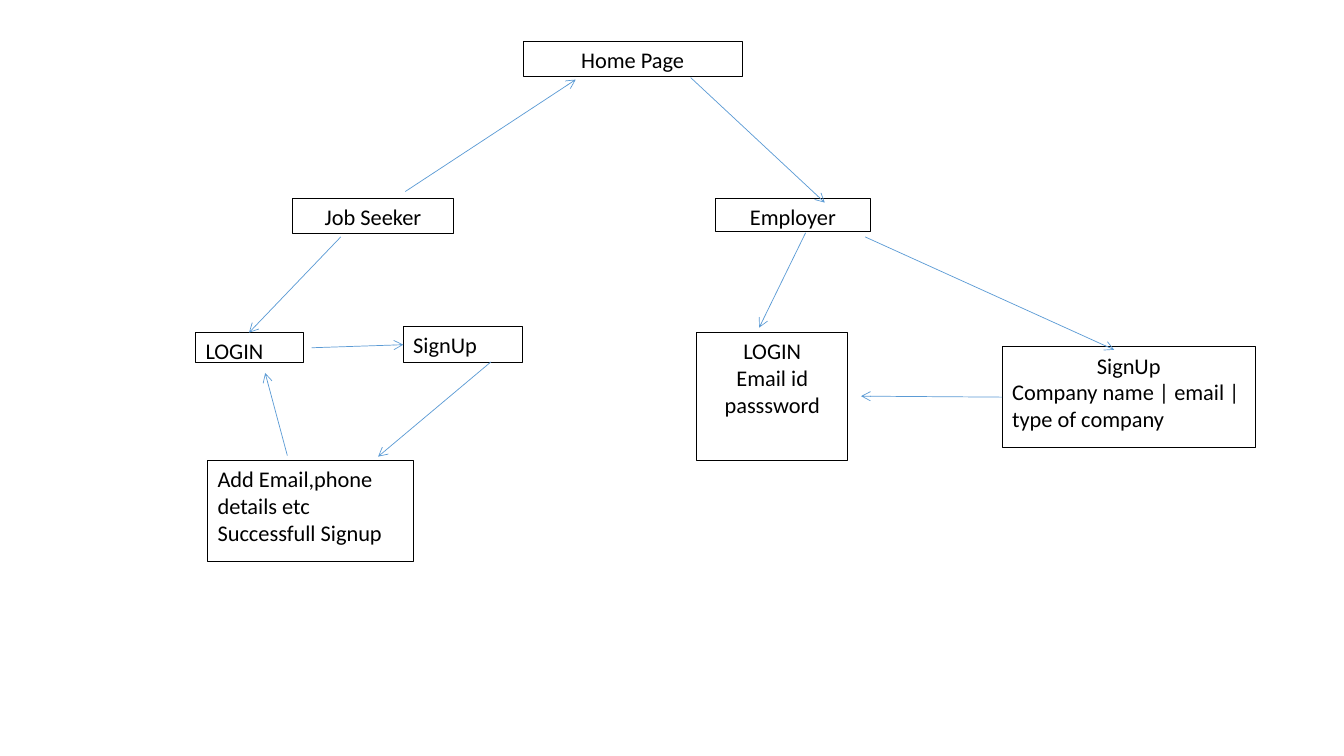
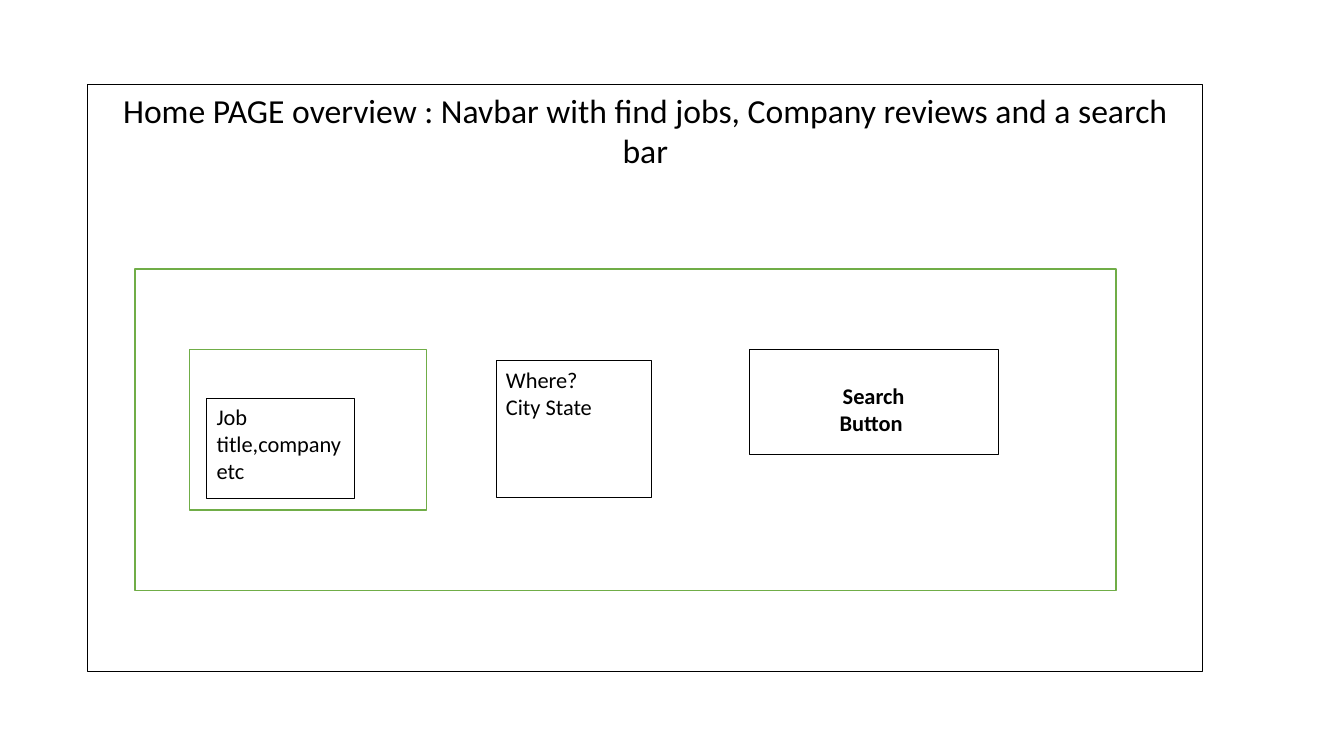
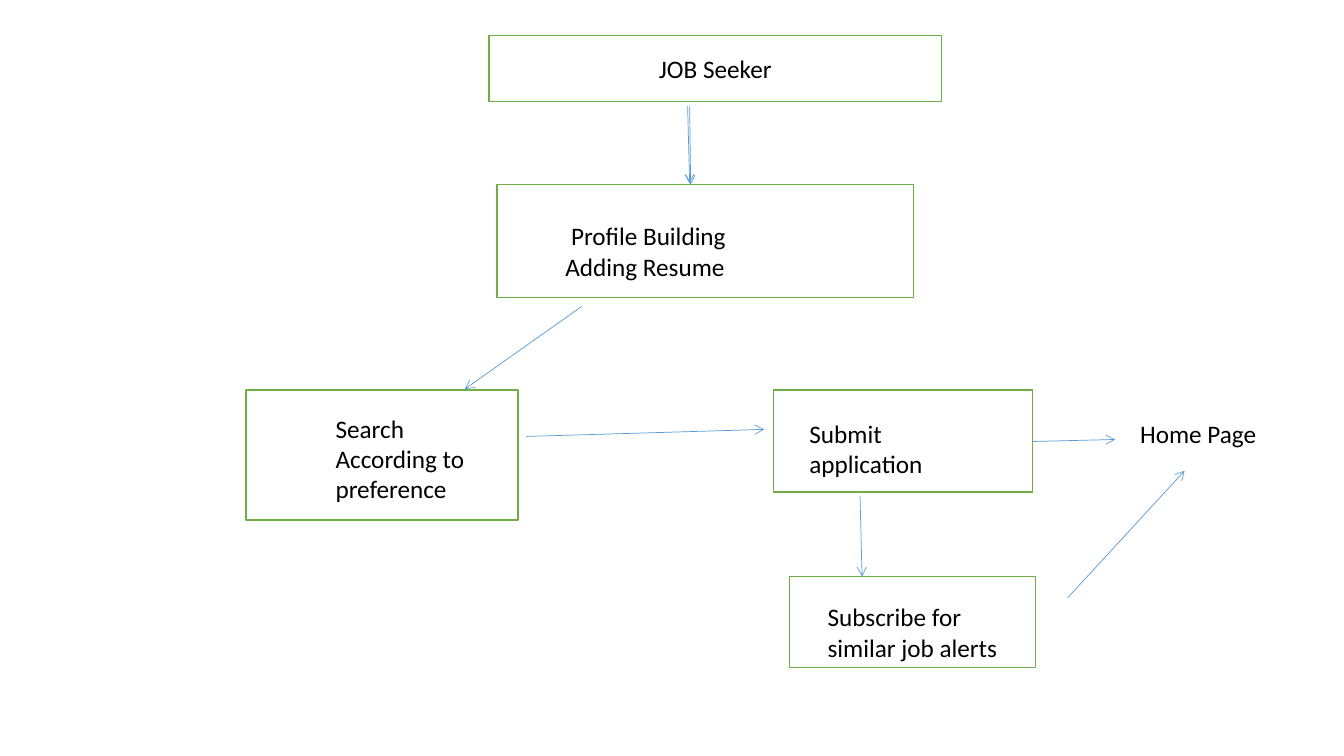
from itertools import cycle

from lxml import etree
from pptx import Presentation, util as u
from pptx.dml.color import RGBColor
from pptx.enum import shapes, text
from pptx.oxml.ns import qn

# Places are grid columns and rows: left, top, width, height.
SLIDE_WIDTH, SLIDE_HEIGHT = 13.33, 7.5
COLUMNS, ROWS = 1333, 750
FONT = "Calibri"
BLACK, WHITE, GREEN, BLUE = "000000", "FFFFFF", "70AD47", "5B9BD5"
ALIGNMENTS = {"l": text.PP_ALIGN.LEFT, "c": text.PP_ALIGN.CENTER}
THIN, MEDIUM = 0.5, 1

# Each box: lines, place, then any style that differs from the defaults.
# The letters of "align" go to the lines in turn. The first box is the title.
SITE_MAP = {
    "boxes": [
        (["Home Page"], (519, 41, 217, 35), {"align": "c"}),
        (["Job Seeker"], (290, 197, 160, 35), {"align": "c"}),
        (["Employer"], (710, 197, 153, 33), {"align": "c"}),
        (["LOGIN"], (194, 330, 107, 30), {}),
        (["SignUp"], (400, 324, 118, 36), {}),
        (["Add Email,phone details etc", "Successfull Signup"],
         (206, 457, 204, 100), {}),
        (["LOGIN", "Email id passsword"], (691, 330, 150, 127), {"align": "c"}),
        (["SignUp", "Company name | email | type of company"],
         (994, 344, 251, 100), {"align": "cl"}),
    ],
    "arrows": [
        ((402, 190), (571, 79)), ((685, 77), (818, 201)),
        ((338, 235), (247, 330)), ((309, 345), (400, 342)),
        ((487, 359), (375, 453)), ((285, 452), (263, 370)),
        ((799, 231), (753, 325)), ((858, 235), (1105, 347)),
        ((994, 394), (854, 393)),
    ],
}
HOME_PAGE = {
    "boxes": [
        (["Home PAGE overview : Navbar with find jobs, Company reviews "
          "and a search bar"], (87, 84, 1106, 582), {"align": "c", "size": 24}),
        ([], (134, 267, 973, 319), {"line": GREEN}),
        ([], (188, 347, 235, 159), {"line": GREEN}),
        (["Job title,company etc"], (205, 395, 147, 99), {}),
        (["Where?", "City State"], (492, 358, 154, 136), {}),
        (["Search", "Button "], (743, 347, 247, 104),
         {"align": "c", "bold": True, "top_inset": 0.32}),
    ],
}
JOB_SEEKER = {
    "boxes": [
        (["JOB Seeker"], (485, 35, 449, 66),
         {"align": "c", "size": 18, "line": GREEN, "middle": True}),
        ([], (493, 183, 413, 112), {"line": GREEN}),
        ([], (244, 387, 270, 129), {"line": GREEN}),
        ([], (767, 387, 257, 101), {"line": GREEN}),
        ([], (783, 572, 244, 90), {"line": GREEN}),
    ],
    "labels": [
        ([" Profile Building", "Adding Resume"], (551, 214, 303, 71)),
        (["Search According to preference"], (323, 405, 177, 101)),
        (["Submit application"], (793, 410, 206, 71)),
        (["Home Page"], (1121, 410, 174, 40)),
        (["Subscribe for similar job alerts"], (811, 592, 194, 71)),
    ],
    "arrows": [
        ((682, 105), (684, 182)), ((684, 105), (685, 183)),
        ((577, 304), (461, 386)), ((522, 433), (758, 426)),
        ((1024, 438), (1106, 436)), ((853, 492), (855, 572)),
        ((1059, 593), (1175, 467)),
    ],
}


def color(value):
    """Turn a hex string into a colour."""
    return RGBColor.from_string(value)


def grid(*values):
    """Turn alternating columns and rows into lengths."""
    units = cycle((SLIDE_WIDTH / COLUMNS, SLIDE_HEIGHT / ROWS))
    return [u.Inches(value * unit) for value, unit in zip(values, units)]


def write(shape, lines, size, align="l", bold=False):
    """Write one paragraph for each line."""
    frame = shape.text_frame
    frame.word_wrap = True
    for index, (line, letter) in enumerate(zip(lines, cycle(align))):
        paragraph = frame.add_paragraph() if index else frame.paragraphs[0]
        paragraph.alignment = ALIGNMENTS[letter]
        run = paragraph.add_run()
        run.text = line
        run.font.name, run.font.size = FONT, u.Pt(size)
        run.font.bold = bold
        run.font.color.rgb = color(BLACK)


def add_box(slide, lines, place, is_title, line=BLACK, size=16, align="l",
            bold=False, middle=False, top_inset=0.05):
    """Draw an outlined box, using the title placeholder for the title."""
    if is_title:
        shape = slide.shapes.title
        shape.left, shape.top, shape.width, shape.height = grid(*place)
    else:
        shape = slide.shapes.add_shape(shapes.MSO_SHAPE.RECTANGLE, *grid(*place))
        shape.shadow.inherit = False
    shape.fill.solid()
    shape.fill.fore_color.rgb = color(WHITE)
    shape.line.color.rgb = color(line)
    shape.line.width = u.Pt(MEDIUM if line == GREEN else THIN)
    frame = shape.text_frame
    frame.auto_size = text.MSO_AUTO_SIZE.NONE
    frame.margin_top = u.Inches(top_inset)
    frame.vertical_anchor = (text.MSO_ANCHOR.MIDDLE if middle
                             else text.MSO_ANCHOR.TOP)
    write(shape, lines, size, align, bold)


def add_label(slide, lines, place):
    """Add plain text without an outline."""
    label = slide.shapes.add_textbox(*grid(*place))
    label.text_frame.auto_size = text.MSO_AUTO_SIZE.SHAPE_TO_FIT_TEXT
    write(label, lines, 18)


def add_arrow(slide, start, end):
    """Draw a thin arrow from start to end."""
    arrow = slide.shapes.add_connector(
        shapes.MSO_CONNECTOR.STRAIGHT, *grid(*start, *end))
    arrow.line.color.rgb = color(BLUE)
    arrow.line.width = u.Pt(THIN)
    properties = arrow.element.spPr
    etree.SubElement(properties.find(qn("a:ln")), qn("a:tailEnd"), type="arrow")
    etree.SubElement(properties, qn("a:effectLst"))


def add_diagram(presentation, content):
    """Add a slide with its boxes, labels and arrows."""
    slide = presentation.slides.add_slide(presentation.slide_layouts[5])
    for index, (lines, place, style) in enumerate(content["boxes"]):
        add_box(slide, lines, place, index == 0, **style)
    for lines, place in content.get("labels", []):
        add_label(slide, lines, place)
    for start, end in content.get("arrows", []):
        add_arrow(slide, start, end)


presentation = Presentation()
presentation.slide_width = u.Inches(SLIDE_WIDTH)
presentation.slide_height = u.Inches(SLIDE_HEIGHT)
for diagram in (SITE_MAP, HOME_PAGE, JOB_SEEKER):
    add_diagram(presentation, diagram)
presentation.save("out.pptx")
